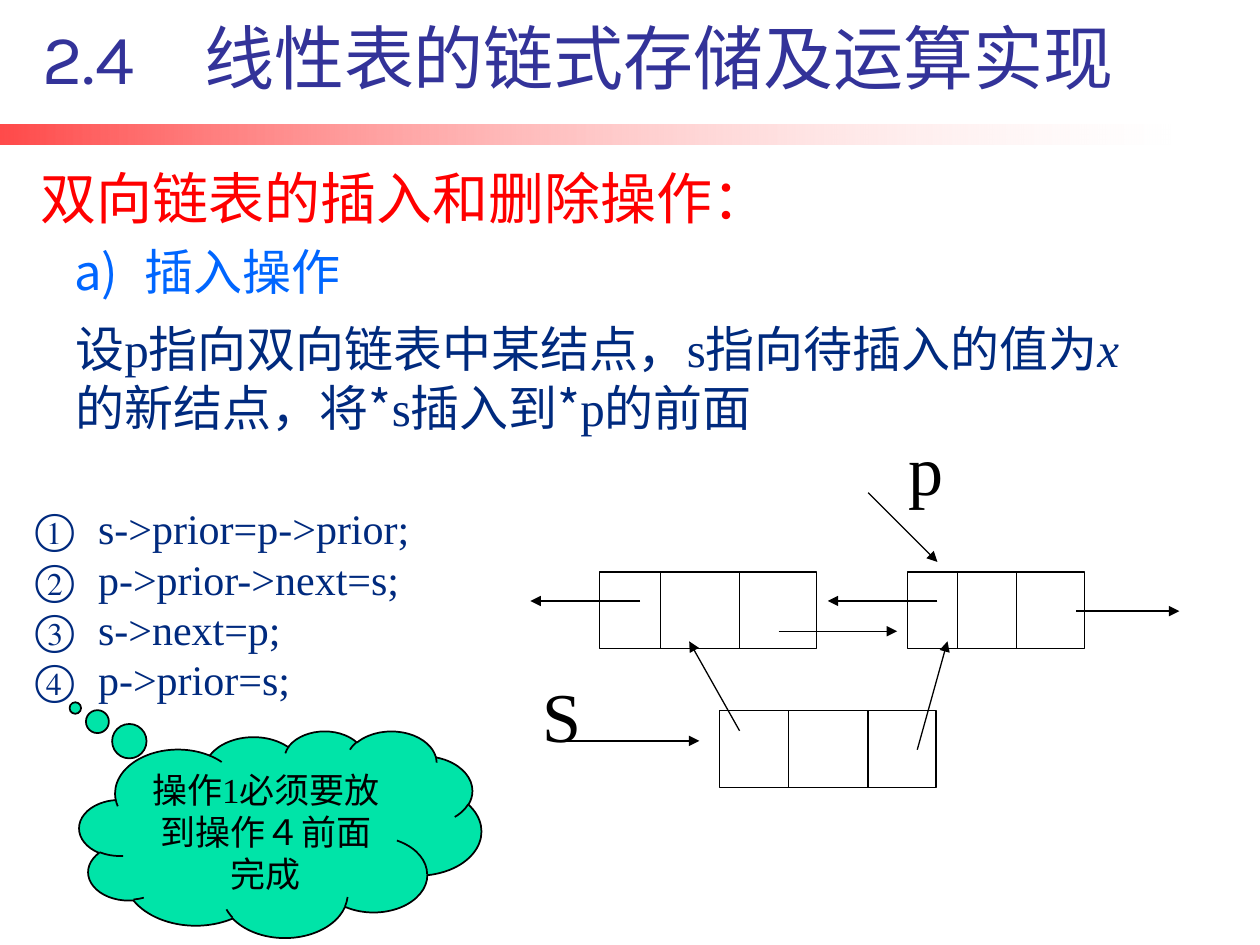
import dataclasses
import typing

import lxml.etree
import pptx
import pptx.dml.color
import pptx.enum.dml
import pptx.enum.shapes
import pptx.enum.text
import pptx.oxml
import pptx.oxml.ns
import pptx.util

# The slide is a grid of 100 columns by 75 rows
COLUMNS, ROWS = 100, 75
WIDTH, HEIGHT = pptx.util.Inches(10), pptx.util.Inches(7.5)
CJK, LATIN, TITLE_FONT = "Noto Sans CJK SC", "Times New Roman", "Karla"
BLACK, NAVY, BLUE, RED, INDIGO = "000000", "002A7E", "0066FF", "FF0000", "333399"
MINT, WHITE = "00E4A8", "FFFFFF"
NODE_HEIGHT = 6.1
ALIGN = pptx.enum.text.PP_ALIGN
SHAPE = pptx.enum.shapes.MSO_SHAPE


class Box(typing.NamedTuple):
    left: float
    top: float
    width: float
    height: float


class Arrow(typing.NamedTuple):
    start: tuple[float, float]
    end: tuple[float, float]


class Run(typing.NamedTuple):
    text: str
    font: str = LATIN
    italic: bool = False


@dataclasses.dataclass
class Node:
    """A list node: its box and the columns of its two dividers."""
    left: float
    top: float
    width: float
    dividers: tuple[float, float]


@dataclasses.dataclass
class Label:
    box: Box
    paragraphs: list[list[Run]]
    size: int
    color: str
    wrap: bool = True
    align: ALIGN = ALIGN.LEFT
    anchor: pptx.enum.text.MSO_ANCHOR = pptx.enum.text.MSO_ANCHOR.TOP
    numbering: str = ""
    indent: float = 0
    line_spacing: float = 1


def x(columns: float) -> int:
    return round(WIDTH * columns / COLUMNS)


def y(rows: float) -> int:
    return round(HEIGHT * rows / ROWS)


def place(box: Box) -> tuple[int, int, int, int]:
    return x(box.left), y(box.top), x(box.width), y(box.height)


def rgb(color: str) -> pptx.dml.color.RGBColor:
    return pptx.dml.color.RGBColor.from_string(color)


def add_element(parent, tag: str, **attributes: str):
    child = lxml.etree.SubElement(parent, pptx.oxml.ns.qn(tag))
    for name, value in attributes.items():
        child.set(name, value)
    return child


def add_numbering(paragraph, label: Label) -> None:
    properties = paragraph._p.get_or_add_pPr()
    properties.set("marL", str(x(label.indent)))
    properties.set("indent", str(-x(label.indent)))
    bullet_color = add_element(properties, "a:buClr")
    add_element(bullet_color, "a:srgbClr", val=label.color)
    add_element(properties, "a:buFont", typeface=CJK)
    add_element(properties, "a:buAutoNum", type=label.numbering)


def write(frame, label: Label) -> None:
    frame.word_wrap = label.wrap
    frame.vertical_anchor = label.anchor
    for index, runs in enumerate(label.paragraphs):
        paragraph = frame.add_paragraph() if index else frame.paragraphs[0]
        paragraph.alignment = label.align
        paragraph.line_spacing = label.line_spacing
        if label.numbering:
            add_numbering(paragraph, label)
        for part in runs:
            run = paragraph.add_run()
            run.text = part.text
            run.font.name = part.font
            run.font.size = pptx.util.Pt(label.size)
            run.font.italic = part.italic
            run.font.color.rgb = rgb(label.color)
            add_element(run._r.get_or_add_rPr(), "a:ea", typeface=CJK)


def add_label(shapes, label: Label) -> None:
    write(shapes.add_textbox(*place(label.box)).text_frame, label)


def add_line(shapes, line: Arrow, arrowhead: bool = True) -> None:
    (start_x, start_y), (end_x, end_y) = line
    connector = shapes.add_connector(
        pptx.enum.shapes.MSO_CONNECTOR.STRAIGHT,
        x(start_x), y(start_y), x(end_x), y(end_y))
    connector.line.color.rgb = rgb(BLACK)
    connector.line.width = pptx.util.Pt(0.75)
    if arrowhead:
        add_element(connector.line._get_or_add_ln(), "a:tailEnd", type="triangle")
    add_element(connector._element.spPr, "a:effectLst")


def add_node(shapes, node: Node) -> None:
    group = shapes.add_group_shape().shapes
    box = Box(node.left, node.top, node.width, NODE_HEIGHT)
    outline = group.add_shape(SHAPE.RECTANGLE, *place(box))
    outline.shadow.inherit = False
    outline.fill.background()
    outline.line.color.rgb = rgb(BLACK)
    outline.line.width = pptx.util.Pt(0.75)
    for column in node.dividers:
        divider = Arrow((column, node.top), (column, node.top + NODE_HEIGHT))
        add_line(group, divider, arrowhead=False)


def add_title_bar(shapes) -> None:
    bar = shapes.add_shape(SHAPE.RECTANGLE, *place(Box(0, 9.9, 92.9, 1.6)))
    bar.shadow.inherit = False
    bar.line.fill.background()
    bar.fill.gradient()
    bar.fill.gradient_angle = 0
    for stop, color, opacity in zip(bar.fill.gradient_stops, (RED, WHITE), (71, 18)):
        stop.color.rgb = rgb(color)
        color_element = stop._gs.find(pptx.oxml.ns.qn("a:srgbClr"))
        add_element(color_element, "a:alpha", val=str(opacity * 1000))


def add_cloud(shapes, label: Label) -> None:
    cloud = shapes.add_shape(SHAPE.CLOUD_CALLOUT, *place(label.box))
    cloud.adjustments[0], cloud.adjustments[1] = -0.51, -0.61
    cloud.shadow.inherit = False
    cloud.fill.solid()
    cloud.fill.fore_color.rgb = rgb(MINT)
    cloud.line.color.rgb = rgb(BLACK)
    cloud.line.width = pptx.util.Pt(1)
    write(cloud.text_frame, label)


LABELS = [
    Label(Box(0.1, 3, 91.5, 5.3), [[Run("2.4　线性表的链式存储及运算实现", TITLE_FONT)]],
          40, INDIGO, align=ALIGN.CENTER, anchor=pptx.enum.text.MSO_ANCHOR.BOTTOM),
    Label(Box(2.2, 12.5, 60.4, 6.4), [[Run("双向链表的插入和删除操作：", CJK)]],
          32, RED, wrap=False),
    Label(Box(4.9, 18.7, 23.4, 5.7), [[Run("插入操作", CJK)]], 28, BLUE, wrap=False,
          numbering="alphaLcParenR", indent=5.6),
    Label(Box(5, 24.8, 86.6, 11.4),
          [[Run("设", CJK), Run("p"), Run("指向双向链表中某结点，", CJK), Run("s"),
            Run("指向待插入的值为", CJK), Run("x", italic=True),
            Run("的新结点，将*", CJK), Run("s"), Run("插入到*", CJK), Run("p"),
            Run("的前面", CJK)]], 28, NAVY),
    Label(Box(1.8, 39.4, 50, 17.2),
          [[Run(step)] for step in ("s->prior=p->prior;", "p->prior->next=s;",
                                    "s->next=p;", "p->prior=s;")],
          24, NAVY, numbering="circleNumDbPlain", indent=5),
    Label(Box(42.1, 53.3, 5.9, 9.1), [[Run("S")]], 40, BLACK, line_spacing=0.96),
    Label(Box(71.1, 33.7, 5.9, 9.1), [[Run("p")]], 40, BLACK, line_spacing=0.96),
]
WARNING = Label(Box(6.3, 58, 31.9, 16.4), [[Run("操作1必须要放到操作４前面完成")]],
                20, BLACK, align=ALIGN.CENTER)
NODES = [
    Node(47.6, 45.4, 17.2, (52.4, 58.7)),
    Node(72, 45.4, 14.1, (76, 80.7)),
    Node(57.1, 56.4, 17.2, (62.6, 68.9)),
]
ARROWS = [
    Arrow((61.8, 50.1), (71.2, 50.1)),  # next of the left node
    Arrow((68.9, 39.1), (74.4, 44.6)),  # pointer p
    Arrow((50.8, 47.7), (42.1, 47.7)),  # prior of the left node
    Arrow((85.4, 48.5), (93.6, 48.5)),  # next of the right node
    Arrow((58.7, 58), (54.7, 50.9)),    # prior of the new node
    Arrow((74.4, 47.7), (65.7, 47.7)),  # prior of the right node
    Arrow((44.5, 58.8), (55.5, 58.8)),  # pointer s
    Arrow((72.8, 59.5), (75.2, 50.9)),  # next of the new node
]


def main() -> None:
    presentation = pptx.Presentation()
    presentation.slide_width, presentation.slide_height = WIDTH, HEIGHT
    shapes = presentation.slides.add_slide(presentation.slide_layouts[6]).shapes
    add_title_bar(shapes)
    # Linked-list diagram
    for node in NODES:
        add_node(shapes, node)
    for arrow in ARROWS:
        add_line(shapes, arrow)
    # Text and callout
    for label in LABELS:
        add_label(shapes, label)
    add_cloud(shapes, WARNING)
    presentation.save("out.pptx")


if __name__ == "__main__":
    main()
